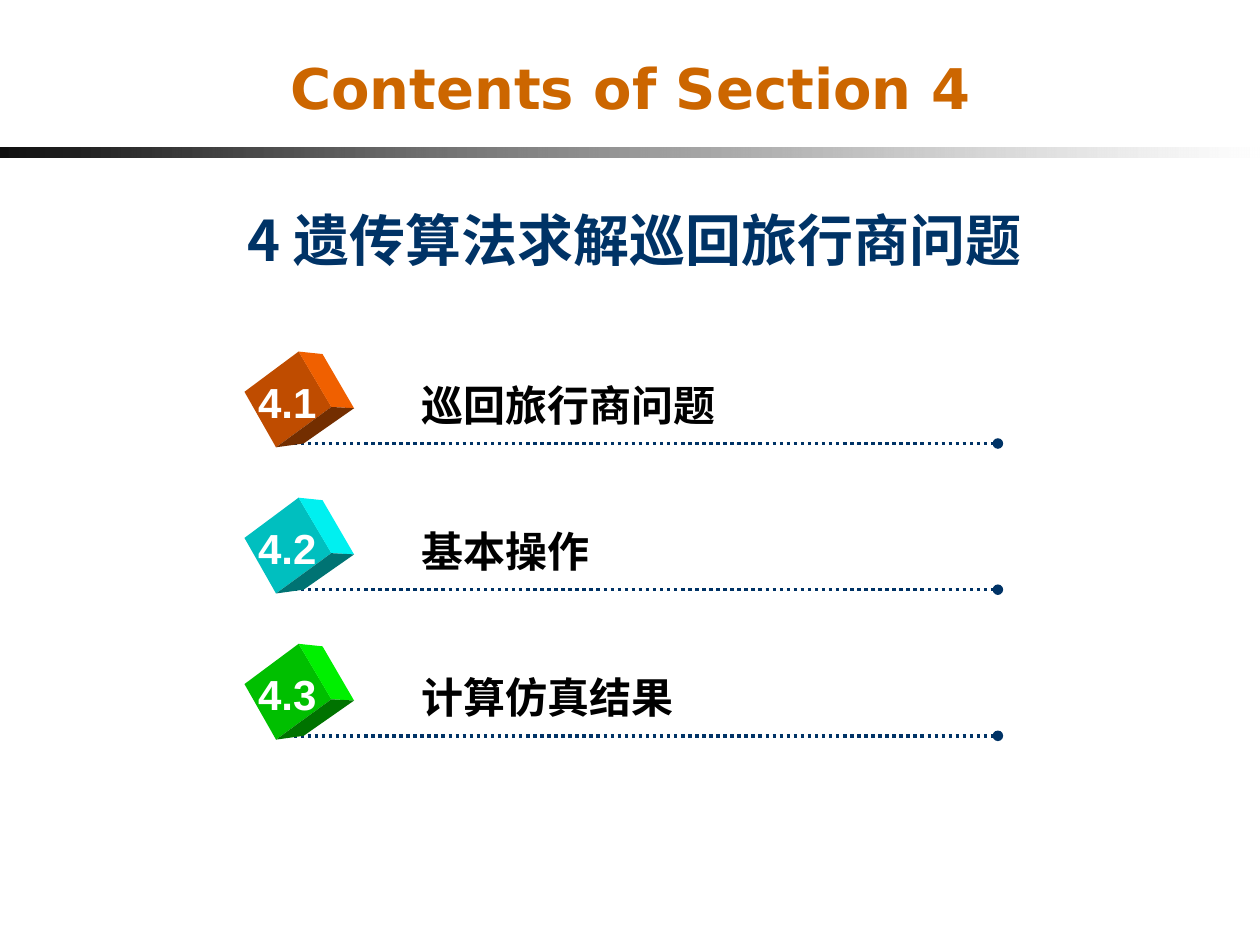
from dataclasses import dataclass

from lxml import etree
from pptx import Presentation
from pptx.dml.color import RGBColor
from pptx.enum import dml, shapes, text
from pptx.oxml.ns import qn
from pptx.util import Inches, Pt


@dataclass(frozen=True)
class Theme:
    """Colours, fonts and sizes of the slide."""
    title: str = "CC6600"
    navy: str = "003366"
    ink: str = "000000"
    white: str = "FFFFFF"
    fade: tuple = (("080808", 97), ("FFFFFF", 70))
    sans: str = "Arial"
    head: str = "DejaVu Sans"
    cjk: str = "Noto Sans CJK SC"
    big: int = 32
    mid: int = 24


THEME = Theme()
ROWS = (
    ("4.1", "巡回旅行商问题", "FF6600"),
    ("4.2", "基本操作", "00FFFF"),
    ("4.3", "计算仿真结果", "00FF00"),
)
FACES = (
    (0.75, ((0, 0.32), (0.43, 0), (0.69, 0.44), (0.25, 0.76))),
    (0.94, ((0.43, 0), (0.62, 0.02), (0.87, 0.45), (0.69, 0.44))),
    (0.45, ((0.69, 0.44), (0.87, 0.45), (0.47, 0.73), (0.25, 0.76))),
)


def shade(tint, part):
    """Return a colour darkened to a part of its brightness."""
    return RGBColor(*(round(c * part) for c in RGBColor.from_string(tint)))


def add_text(slide, box, words, size, tint, face,
             align=text.PP_ALIGN.CENTER, anchor=text.MSO_ANCHOR.TOP, wrap=True):
    """Place one bold line of text in a box."""
    frame = slide.shapes.add_textbox(*map(Inches, box)).text_frame
    frame.word_wrap = wrap
    frame.vertical_anchor = anchor
    para = frame.paragraphs[0]
    para.text = words
    para.alignment = align
    font = para.font
    font.size, font.bold, font.name = Pt(size), True, face
    font.color.rgb = RGBColor.from_string(tint)
    style = para._p.pPr.find(qn("a:defRPr"))
    etree.SubElement(style, qn("a:ea"), typeface=THEME.cjk)


def add_band(slide, box):
    """Draw the fading band below the title."""
    band = slide.shapes.add_shape(shapes.MSO_SHAPE.RECTANGLE, *map(Inches, box))
    band.shadow.inherit = False
    band.line.fill.background()
    band.fill.gradient()
    band.fill.gradient_angle = 0
    for stop, (tint, alpha) in zip(band.fill.gradient_stops, THEME.fade):
        stop.color.rgb = RGBColor.from_string(tint)
    for node, (tint, alpha) in zip(band._element.spPr.iter(qn("a:srgbClr")), THEME.fade):
        etree.SubElement(node, qn("a:alpha"), val=str(alpha * 1000))


def add_rule(slide, left, right, top):
    """Draw a dotted rule that ends in a dot."""
    rule = slide.shapes.add_connector(
        shapes.MSO_CONNECTOR.STRAIGHT, *map(Inches, (left, top, right, top)))
    rule.line.color.rgb = RGBColor.from_string(THEME.navy)
    rule.line.width = Pt(2)
    rule.line.dash_style = dml.MSO_LINE.ROUND_DOT
    etree.SubElement(rule.line._get_or_add_ln(), qn("a:tailEnd"), type="oval")
    etree.SubElement(rule._element.spPr, qn("a:effectLst"))


def add_cube(slide, left, top, tint):
    """Draw a tilted cube from its three visible faces."""
    for part, points in FACES:
        spots = [(Inches(left + x), Inches(top + y)) for x, y in points]
        pen = slide.shapes.build_freeform(*spots[0])
        pen.add_line_segments(spots[1:], close=True)
        side = pen.convert_to_shape()
        side.shadow.inherit = False
        side.fill.solid()
        side.fill.fore_color.rgb = shade(tint, part)
        side.line.fill.background()


def add_row(slide, box, row):
    """Place one entry: rule, cube, number and label."""
    left, top, width, height = box
    mark, label, tint = row
    add_rule(slide, left + 0.39, left + width, top + height)
    add_cube(slide, left, top, tint)
    add_text(slide, (left + 0.01, top + 0.15, 0.66, 0.5), mark,
             THEME.mid, THEME.white, THEME.sans, wrap=False)
    add_text(slide, (left + 1.31, top + 0.17, width - 1.48, 0.5), label,
             THEME.mid, THEME.ink, THEME.sans, text.PP_ALIGN.LEFT)


def add_head(slide, box):
    """Place the slide title and the band under it."""
    left, top, width, height = box
    add_band(slide, (left, top + height - 0.08, width, 0.08))
    add_text(slide, (left + 0.67, top + 0.17, width - 1.33, 1.05),
             "Contents of Section 4", THEME.big, THEME.title, THEME.head,
             anchor=text.MSO_ANCHOR.MIDDLE)


def add_list(slide, box, pitch):
    """Place all entries at an equal pitch."""
    left, top, width, height = box
    for i, row in enumerate(ROWS):
        add_row(slide, (left, top + i * pitch, width, height), row)


def main():
    """Build and save the slide."""
    deck = Presentation()
    deck.slide_width, deck.slide_height = Inches(10), Inches(7.5)
    slide = deck.slides.add_slide(deck.slide_layouts[6])
    add_head(slide, (0, 0, 10, 1.25))
    add_text(slide, (1.25, 1.58, 7.58, 0.63), "4\u2002遗传算法求解巡回旅行商问题".replace("\u2002", " "),
             THEME.big, THEME.navy, THEME.cjk)
    add_list(slide, (1.94, 2.79, 5.98, 0.73), 1.16)
    deck.save("out.pptx")


if __name__ == "__main__":
    main()
